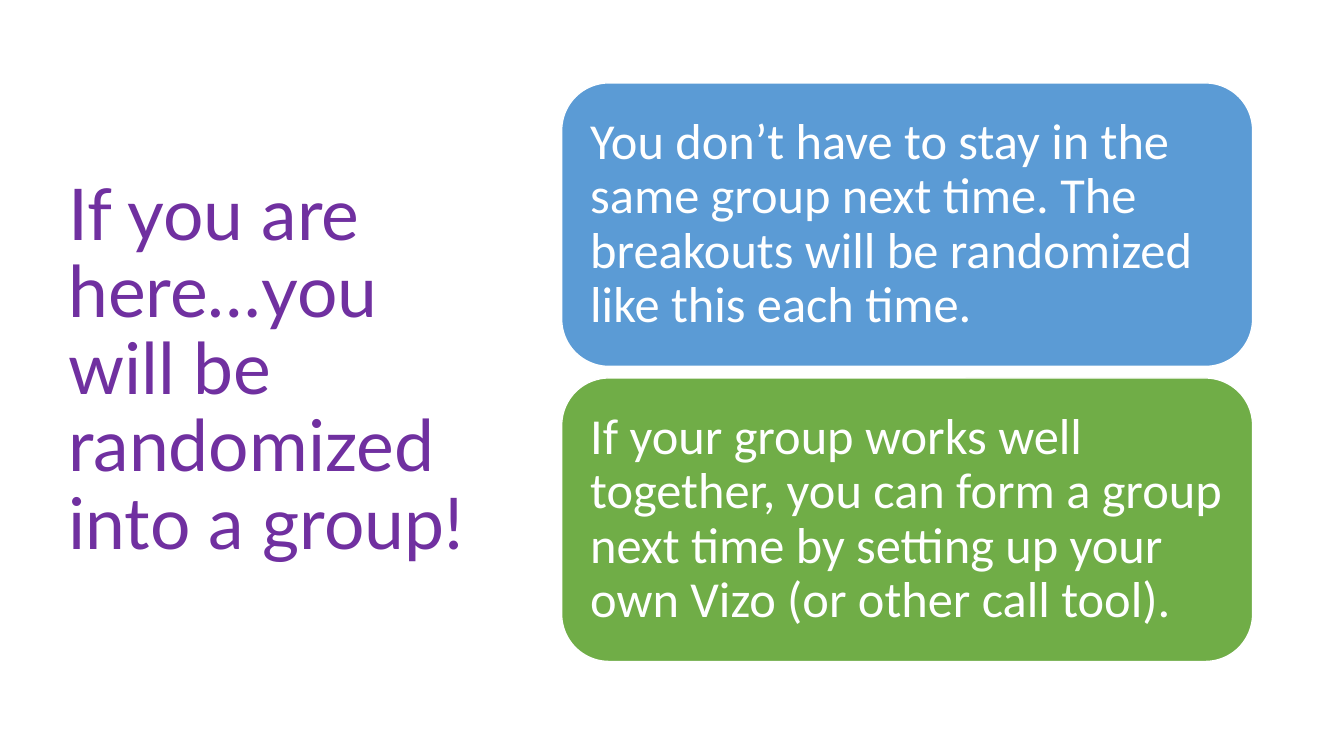
from pptx import Presentation
from pptx.dml.color import RGBColor
from pptx.enum.shapes import MSO_SHAPE
from pptx.enum.text import MSO_ANCHOR, PP_ALIGN
from pptx.util import Pt

PX = 9525  # EMU per pixel, 96 pixels to the inch
COLORS = {"purple": "7030A0", "blue": "5B9BD5", "green": "70AD47", "white": "FFFFFF"}


def color(name):
    return RGBColor.from_string(COLORS[name])


def write_text(shape, text, font_name, size, color_name, margins):
    """Fill a shape with one left-aligned, vertically centred paragraph."""
    frame = shape.text_frame
    frame.word_wrap = True
    frame.vertical_anchor = MSO_ANCHOR.MIDDLE
    frame.margin_left, frame.margin_top, frame.margin_right, frame.margin_bottom = (
        margin * PX for margin in margins
    )
    paragraph = frame.paragraphs[0]
    paragraph.text = text
    paragraph.alignment = PP_ALIGN.LEFT
    paragraph.line_spacing = 0.9
    paragraph.font.name = font_name
    paragraph.font.size = Pt(size)
    paragraph.font.color.rgb = color(color_name)


presentation = Presentation()
presentation.slide_width = 1280 * PX
presentation.slide_height = 720 * PX
slide = presentation.slides.add_slide(presentation.slide_layouts[6])

title = slide.shapes.add_textbox(55 * PX, 65 * PX, 399 * PX, 578 * PX)
write_text(title, "If you are here…you will be randomized into a group!",
           "Lato", 51, "purple", (10, 5, 10, 5))

CARD_LEFT, CARD_TOP, CARD_WIDTH, CARD_HEIGHT, CARD_GAP = 535, 79, 658, 270, 11
cards = [
    ("blue", "You don’t have to stay in the same group next time. "
             "The breakouts will be randomized like this each time."),
    ("green", "If your group works well together, you can form a group next time "
              "by setting up your own Vizo (or other call tool)."),
]
for index, (fill_name, text) in enumerate(cards):
    top = CARD_TOP + index * (CARD_HEIGHT + CARD_GAP)
    card = slide.shapes.add_shape(
        MSO_SHAPE.ROUNDED_RECTANGLE,
        CARD_LEFT * PX, top * PX, CARD_WIDTH * PX, CARD_HEIGHT * PX)
    card.shadow.inherit = False
    card.fill.solid()
    card.fill.fore_color.rgb = color(fill_name)
    card.line.color.rgb = color("white")
    card.line.width = Pt(1)
    write_text(card, text, "Calibri", 36, "white", (14, 14, 14, 14))

presentation.save("out.pptx")
